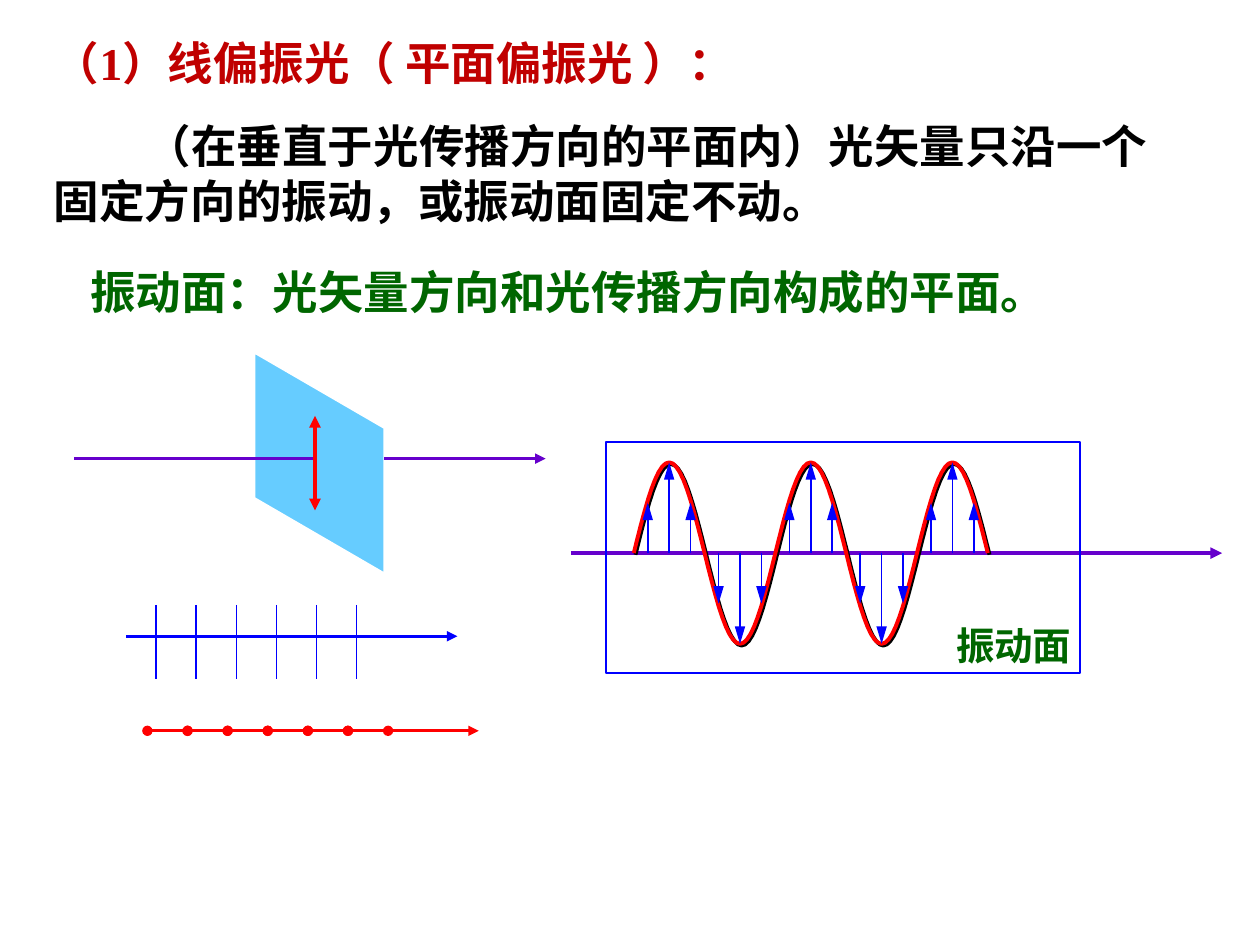
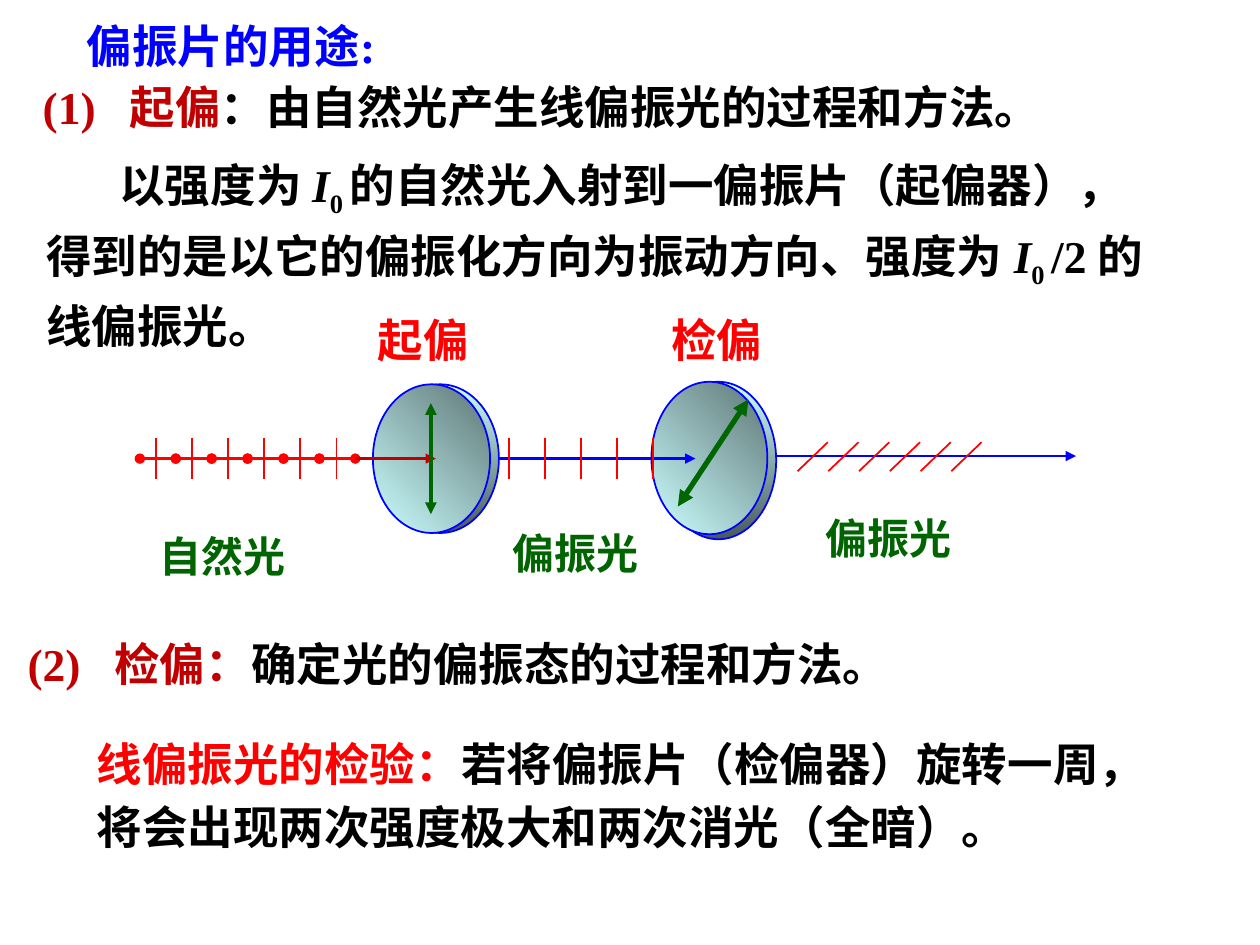
from dataclasses import dataclass
from math import pi, sin

from lxml.etree import SubElement
from pptx import Presentation
from pptx.dml.color import RGBColor
from pptx.enum.shapes import MSO_CONNECTOR as Link, MSO_SHAPE as Preset
from pptx.enum.text import MSO_ANCHOR as Anchor
from pptx.oxml.ns import qn
from pptx.util import Inches, Pt


@dataclass(frozen=True)
class Theme:
    font: str = "Times New Roman"
    body: float = 26
    caption: float = 24
    label: float = 22
    black: str = "000000"
    crimson: str = "C00000"
    red: str = "FF0000"
    blue: str = "0000FF"
    violet: str = "6600CC"
    green: str = "006600"
    leaf: str = "006400"
    sky: str = "66CCFF"
    white: str = "FFFFFF"
    glass: str = "CCFFFF"
    glass_edge: str = "485A5A"
    glass_face: str = "5E7676"
    thin: float = 1
    ray: float = 1.5
    bold: float = 2.25
    heavy: float = 3


T = Theme()

LINEAR_TEXTS = [
    dict(box=(0.33, 0.23, 9.15, 1.63), paragraphs=[
        dict(runs=[("（1）线偏振光（", T.crimson), (" ", T.crimson, T.caption),
                   ("平面偏振光", T.crimson), (" ", T.crimson, T.caption),
                   ("）：", T.crimson)]),
        dict(indent=0.73, before=16.2, runs=[
            ("（在垂直于光传播方向的平面内）光矢量只沿一个固定方向的振动，或振动面固定不动。", T.black)]),
    ]),
    dict(box=(0.62, 2.05, 8, 0.54), paragraphs=[
        dict(runs=[("振动面：光矢量方向和光传播方向构成的平面。", T.green)])]),
]
PLANE_LABEL = dict(box=(7.49, 4.89, 1.3, 0.47), paragraphs=[
    dict(runs=[("振动面", T.green, T.label)])])

INTENSITY = [("I", T.black, T.body, "italic"), ("0 ", T.black, T.body, "sub")]
POLARIZER_TEXTS = [
    dict(box=(0.59, 0.09, 3.45, 0.54), paragraphs=[
        dict(runs=[("偏振片的用途:", T.blue)])]),
    dict(box=(0.24, 0.58, 9.09, 0.54), paragraphs=[
        dict(tab=0.69, runs=[("(1)\t起偏", T.crimson),
                             ("：由自然光产生线偏振光的过程和方法。", T.black)])]),
    dict(box=(0.27, 1.12, 9.02, 1.73), paragraphs=[
        dict(indent=0.58, spacing=1.15, runs=[
            ("以强度为 ", T.black), *INTENSITY,
            ("的自然光入射到一偏振片（起偏器），得到的是以它的偏振化方向为振动方向、强度为 ", T.black),
            *INTENSITY, ("/2 的线偏振光。", T.black)])]),
    dict(box=(0.12, 5, 8.18, 0.54), paragraphs=[
        dict(tab=0.69, runs=[("(2)\t检偏：", T.crimson),
                             ("确定光的偏振态的过程和方法。", T.black)])]),
    dict(box=(0.67, 5.73, 8.6, 1.1), paragraphs=[
        dict(spacing=1.15, runs=[
            ("线偏振光的检验：", T.red),
            ("若将偏振片（检偏器）旋转一周，将会出现两次强度极大和两次消光（全暗）。", T.black)])]),
]
CAPTIONS = [
    ("起偏", (2.9, 2.42, 1.25, 0.54), T.red, T.body),
    ("检偏", (5.23, 2.42, 1.33, 0.54), T.red, T.body),
    ("自然光", (1.17, 4.16, 1.26, 0.5), T.leaf, T.caption),
    ("偏振光", (3.97, 4.14, 1.26, 0.5), T.leaf, T.caption),
    ("偏振光", (6.45, 4.02, 1.26, 0.5), T.leaf, T.caption),
]
DISCS = [
    ((3.03, 3.05, 0.93, 1.18), (2.96, 3.05, 0.93, 1.18)),
    ((5.24, 3.03, 0.92, 1.25), (5.17, 3.03, 0.92, 1.21)),
]


def rgb(color):
    return RGBColor.from_string(color)


def inches(values):
    return [Inches(value) for value in values]


def spread(first, last, count):
    return [first + (last - first) * index / (count - 1) for index in range(count)]


def add_text(slide, box, paragraphs, anchor=Anchor.TOP):
    frame = slide.shapes.add_textbox(*inches(box)).text_frame
    frame.word_wrap = True
    frame.vertical_anchor = anchor
    for index, content in enumerate(paragraphs):
        paragraph = frame.add_paragraph() if index else frame.paragraphs[0]
        props = paragraph._p.get_or_add_pPr()
        if "indent" in content:
            props.set("indent", str(Inches(content["indent"])))
        if "tab" in content:
            stops = SubElement(props, qn("a:tabLst"))
            SubElement(stops, qn("a:tab"), pos=str(Inches(content["tab"])), algn="l")
        if "before" in content:
            paragraph.space_before = Pt(content["before"])
        if "spacing" in content:
            paragraph.line_spacing = content["spacing"]
        for run_content in content["runs"]:
            add_run(paragraph, *run_content)


def add_run(paragraph, words, color, size=T.body, style=""):
    run = paragraph.add_run()
    run.text = words
    font = run.font
    font.name, font.size, font.bold = T.font, Pt(size), True
    font.color.rgb = rgb(color)
    if style == "italic":
        font.italic = True
    if style == "sub":
        run._r.get_or_add_rPr().set("baseline", "-25000")


def outline(shape, color, width):
    shape.line.color.rgb = rgb(color)
    shape.line.width = Pt(width)


def add_line(slide, start, end, color, width, head=None, tail=None, length="med"):
    line = slide.shapes.add_connector(Link.STRAIGHT, *inches((*start, *end)))
    outline(line, color, width)
    stroke = line.line._get_or_add_ln()
    for tag, kind in (("a:headEnd", head), ("a:tailEnd", tail)):
        if kind:
            SubElement(stroke, qn(tag), type=kind, w="med", len=length)
    SubElement(line._element.spPr, qn("a:effectLst"))


def add_preset(slide, preset, box, color, width, fill=None):
    shape = slide.shapes.add_shape(preset, *inches(box))
    shape.shadow.inherit = False
    outline(shape, color, width)
    if fill:
        shape.fill.solid()
        shape.fill.fore_color.rgb = rgb(fill)
    else:
        shape.fill.background()
    return shape


def add_ticks(slide, first, last, count, top, bottom, color, slant=0):
    for x in spread(first, last, count):
        add_line(slide, (x + slant, top), (x, bottom), color, T.thin)


def add_dotted_ray(slide, first, last, y, tip, tip_color):
    dots = spread(first, last, 7)
    for start, end in zip(dots, dots[1:]):
        add_line(slide, (start, y), (end, y), T.red, T.ray, "oval", "oval")
    add_line(slide, (last, y), (tip, y), tip_color, T.ray, tail="triangle")


def add_wave(slide, left, axis, period, height):
    steps = 100
    points = [(Inches(left + 2.5 * period * step / steps),
               Inches(axis - height * sin(5 * pi * step / steps)))
              for step in range(steps + 1)]
    builder = slide.shapes.build_freeform(*points[0])
    builder.add_line_segments(points[1:], close=False)
    wave = builder.convert_to_shape()
    wave.fill.background()
    outline(wave, T.red, T.bold)
    wave.shadow.inherit = False
    effects = wave._element.spPr.find(qn("a:effectLst"))
    shadow = SubElement(effects, qn("a:outerShdw"), blurRad="0", dist=str(Pt(1.4)),
                        dir="2700000", algn="ctr", rotWithShape="0")
    SubElement(shadow, qn("a:srgbClr"), val=T.black)


def add_vibration_plane(slide):
    left, right, axis, height = 5.03, 7.84, 4.39, 0.72
    period = (right - left) / 2.5
    add_line(slide, (4.53, axis), (9.7, axis), T.violet, T.bold, tail="triangle")
    add_wave(slide, left, axis, period, height)
    add_preset(slide, Preset.RECTANGLE, (4.81, 3.51, 3.76, 1.83), T.blue, T.thin)
    for half in range(5):
        crest = left + period * (half / 2 + 0.25)
        direction = 1 if half % 2 else -1
        for offset, reach in ((0, height), (-0.17, 0.4), (0.17, 0.4)):
            x = crest + offset
            add_line(slide, (x, axis), (x, axis + direction * reach), T.blue, T.thin,
                     tail="triangle", length="lg")
    add_text(slide, **PLANE_LABEL)


def add_disc(slide, back, front):
    for box, shade, angle in ((back, T.glass_edge, 270), (front, T.glass_face, 45)):
        disc = add_preset(slide, Preset.OVAL, box, T.blue, T.thin)
        disc.fill.gradient()
        disc.fill.gradient_angle = angle
        for stop, color in zip(disc.fill.gradient_stops, (T.glass, shade)):
            stop.color.rgb = rgb(color)


def build_linear_light(slide):
    for text in LINEAR_TEXTS:
        add_text(slide, **text)
    plane = add_preset(slide, Preset.PARALLELOGRAM, (1.66, 3.16, 1.75, 1.03),
                       T.white, T.thin, T.sky)
    plane.adjustments[0] = 0.58
    plane.rotation = 90
    add_line(slide, (0.59, 3.64), (2.5, 3.64), T.violet, T.ray)
    add_line(slide, (3.05, 3.64), (4.33, 3.64), T.violet, T.ray, tail="triangle")
    add_line(slide, (2.5, 3.3), (2.5, 4.05), T.red, T.bold, "triangle", "triangle")
    add_line(slide, (1, 5.05), (3.63, 5.05), T.blue, T.ray, tail="triangle")
    add_ticks(slide, 1.24, 2.83, 6, 4.8, 5.39, T.blue)
    add_dotted_ray(slide, 1.17, 3.08, 5.8, 3.8, T.red)
    add_vibration_plane(slide)


def build_polarizer_uses(slide):
    for text in POLARIZER_TEXTS:
        add_text(slide, **text)
    for words, box, color, size in CAPTIONS:
        add_text(slide, box, [dict(runs=[(words, color, size)])], Anchor.MIDDLE)
    for back, front in DISCS:
        add_disc(slide, back, front)
    add_dotted_ray(slide, 1.11, 2.82, 3.64, 3.46, T.crimson)
    add_line(slide, (3.96, 3.64), (5.52, 3.64), T.blue, T.ray, tail="triangle")
    add_line(slide, (6.17, 3.62), (8.54, 3.62), T.blue, T.ray, tail="triangle")
    for first, last, count in ((1.24, 2.67, 6), (4.04, 5.18, 5)):
        add_ticks(slide, first, last, count, 3.48, 3.8, T.red)
    add_ticks(slide, 6.33, 7.55, 6, 3.51, 3.74, T.red, slant=0.24)
    add_line(slide, (3.42, 3.2), (3.42, 4.08), T.green, T.bold, "triangle", "triangle")
    add_line(slide, (5.94, 3.17), (5.38, 4.02), T.green, T.heavy, "triangle", "triangle")


def main():
    deck = Presentation()
    deck.slide_width, deck.slide_height = Inches(10), Inches(7.5)
    for build in (build_linear_light, build_polarizer_uses):
        build(deck.slides.add_slide(deck.slide_layouts[6]))
    deck.save("out.pptx")


if __name__ == "__main__":
    main()
